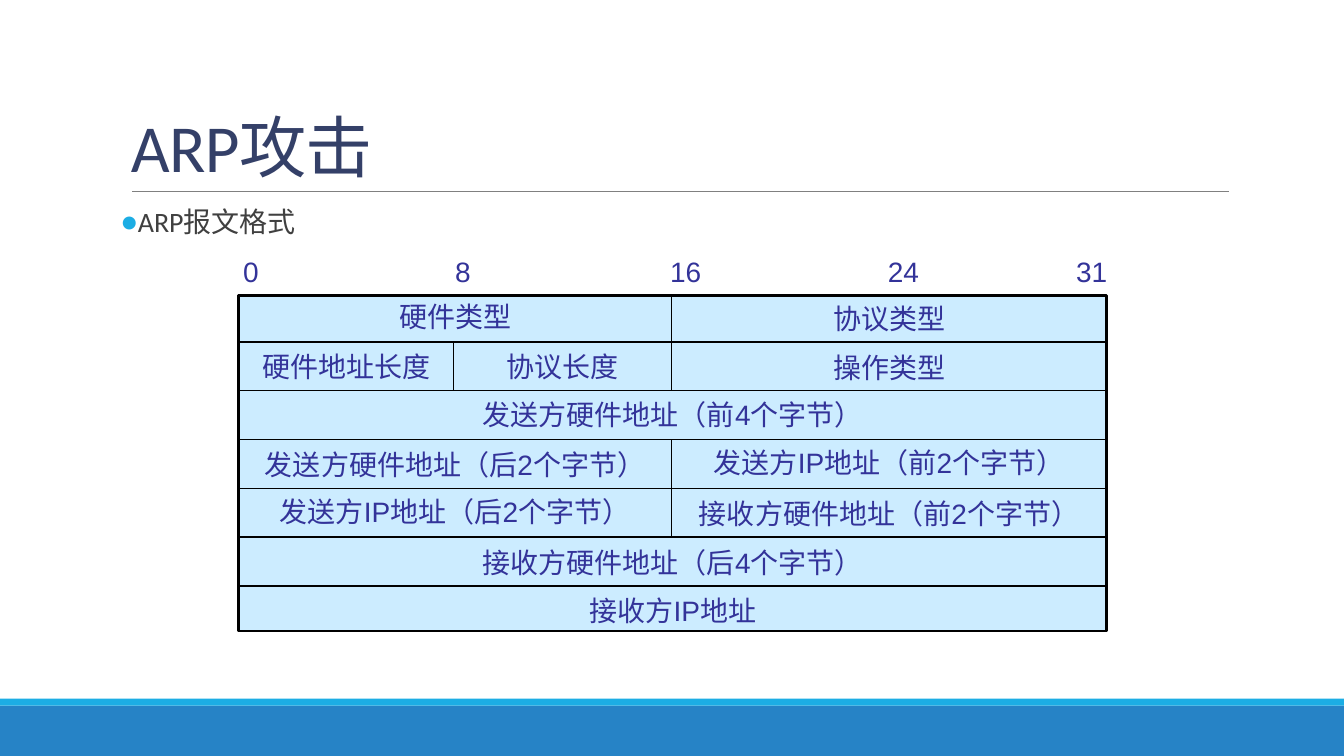
from lxml import etree
from pptx import Presentation
from pptx.dml.color import RGBColor
from pptx.enum import shapes, text
from pptx.oxml import ns
from pptx.util import Pt

COLORS = {
    "band": "2683C6", "accent": "1CADE4", "rule": "808080",
    "title": "344068", "body": "404040", "field": "333399",
    "packet": "CCECFF", "line": "000000",
}
SLIDE_W, SLIDE_H = 960, 540

# Horizontal offset of each bit boundary inside the packet
BIT_X = {0: 0, 8: 153.5, 16: 309, 32: 620}
# Bit labels: caption, offset from the packet's left edge, width
BIT_LABELS = [("0", -4, 25), ("8", 147.5, 25), ("16", 301, 37),
              ("24", 456.5, 37), ("31", 591, 37)]
# Packet rows: first bit, last boundary, caption, vertical nudge
PACKET_ROWS = [
    [(0, 16, "硬件类型", 0), (16, 32, "协议类型", 1.4)],
    [(0, 8, "硬件地址长度", 0.8), (8, 16, "协议长度", 0.8), (16, 32, "操作类型", 1.6)],
    [(0, 32, "发送方硬件地址（前4个字节）", 0)],
    [(0, 16, "发送方硬件地址（后2个字节）", 0.7), (16, 32, "发送方IP地址（前2个字节）", -0.7)],
    [(0, 16, "发送方IP地址（后2个字节）", -0.5), (16, 32, "接收方硬件地址（前2个字节）", 0.3)],
    [(0, 32, "接收方硬件地址（后4个字节）", 0.5)],
    [(0, 32, "接收方IP地址", 0)],
]


def color(key):
    return RGBColor.from_string(COLORS[key])


def add_rect(slide, x, y, w, h, fill, line_width=0):
    rect = slide.shapes.add_shape(shapes.MSO_SHAPE.RECTANGLE, Pt(x), Pt(y), Pt(w), Pt(h))
    rect.shadow.inherit = False
    rect.fill.solid()
    rect.fill.fore_color.rgb = color(fill)
    if line_width:
        rect.line.color.rgb = color("line")
        rect.line.width = Pt(line_width)
    else:
        rect.line.fill.background()


def add_line(slide, x1, y1, x2, y2, key="line", width=1):
    line = slide.shapes.add_connector(
        shapes.MSO_CONNECTOR.STRAIGHT, Pt(x1), Pt(y1), Pt(x2), Pt(y2))
    line.line.color.rgb = color(key)
    line.line.width = Pt(width)
    etree.SubElement(line._element.spPr, ns.qn("a:effectLst"))


def add_text(slide, x, y, w, h, caption, size, font, key, wrap=True):
    """Add a one-run text box and return its frame, paragraph and run."""
    frame = slide.shapes.add_textbox(Pt(x), Pt(y), Pt(w), Pt(h)).text_frame
    frame.word_wrap = wrap
    paragraph = frame.paragraphs[0]
    run = paragraph.add_run()
    run.text = caption
    run.font.size = Pt(size)
    run.font.name = font
    run.font.color.rgb = color(key)
    return frame, paragraph, run


def draw_footer(slide, y, h):
    add_rect(slide, 0, y + 5, SLIDE_W, h - 5, "band")
    add_rect(slide, 0, y, SLIDE_W, 5, "accent")


def draw_title(slide, x, y, w, h):
    frame, paragraph, run = add_text(slide, x, y, w, h, "ARP攻击", 48, "Calibri", "title")
    frame.vertical_anchor = text.MSO_ANCHOR.BOTTOM
    paragraph.line_spacing = 0.85
    run._r.get_or_add_rPr().set("spc", "-50")
    add_line(slide, x + 8, y + h, x + w - 0.5, y + h, "rule", 0.5)


def draw_body(slide, x, y, w, h):
    frame, paragraph, _ = add_text(slide, x, y, w, h, "ARP报文格式", 20, "Calibri", "body")
    frame.margin_left = frame.margin_right = 0
    paragraph.line_spacing = 0.9
    paragraph.space_before, paragraph.space_after = Pt(12), Pt(2)
    # Coloured bullet with a hanging indent
    props = paragraph._p.get_or_add_pPr()
    props.set("marL", str(Pt(7.2)))
    props.set("indent", str(-Pt(7.2)))
    bullet_color = etree.SubElement(props, ns.qn("a:buClr"))
    etree.SubElement(bullet_color, ns.qn("a:srgbClr"), val=COLORS["accent"])
    etree.SubElement(props, ns.qn("a:buFont"), typeface="Calibri")
    etree.SubElement(props, ns.qn("a:buChar"), char="●")


def draw_packet(slide, x, y, w, h):
    add_rect(slide, x, y, w, h, "packet", 2)
    pitch, first_rule = 34.85, 33.3

    # Bit scale above the packet
    for caption, dx, label_w in BIT_LABELS:
        add_text(slide, x + dx, y - 32.4, label_w, 31, caption, 20, "Arial", "field", wrap=False)

    for i, fields in enumerate(PACKET_ROWS):
        bottom = y + first_rule + i * pitch
        top = max(bottom - pitch, y)
        # Rule below every row but the last
        if i < len(PACKET_ROWS) - 1:
            add_line(slide, x, bottom, x + w, bottom)
        for start, end, caption, nudge in fields:
            left = x + BIT_X[start]
            if start:
                add_line(slide, left, top, left, bottom)
            _, paragraph, _ = add_text(
                slide, left, y - 0.7 + i * 35.05 + nudge, BIT_X[end] - BIT_X[start], 31,
                caption, 20, "Arial", "field")
            paragraph.alignment = text.PP_ALIGN.CENTER


def main():
    deck = Presentation()
    deck.slide_width, deck.slide_height = Pt(SLIDE_W), Pt(SLIDE_H)
    slide = deck.slides.add_slide(deck.slide_layouts[6])
    draw_footer(slide, 499, 41)
    draw_title(slide, 86.4, 22.4, 792, 114.4)
    draw_body(slide, 86.4, 145.4, 792, 317)
    draw_packet(slide, 170.6, 211, 620, 239.8)
    deck.save("out.pptx")


if __name__ == "__main__":
    main()
